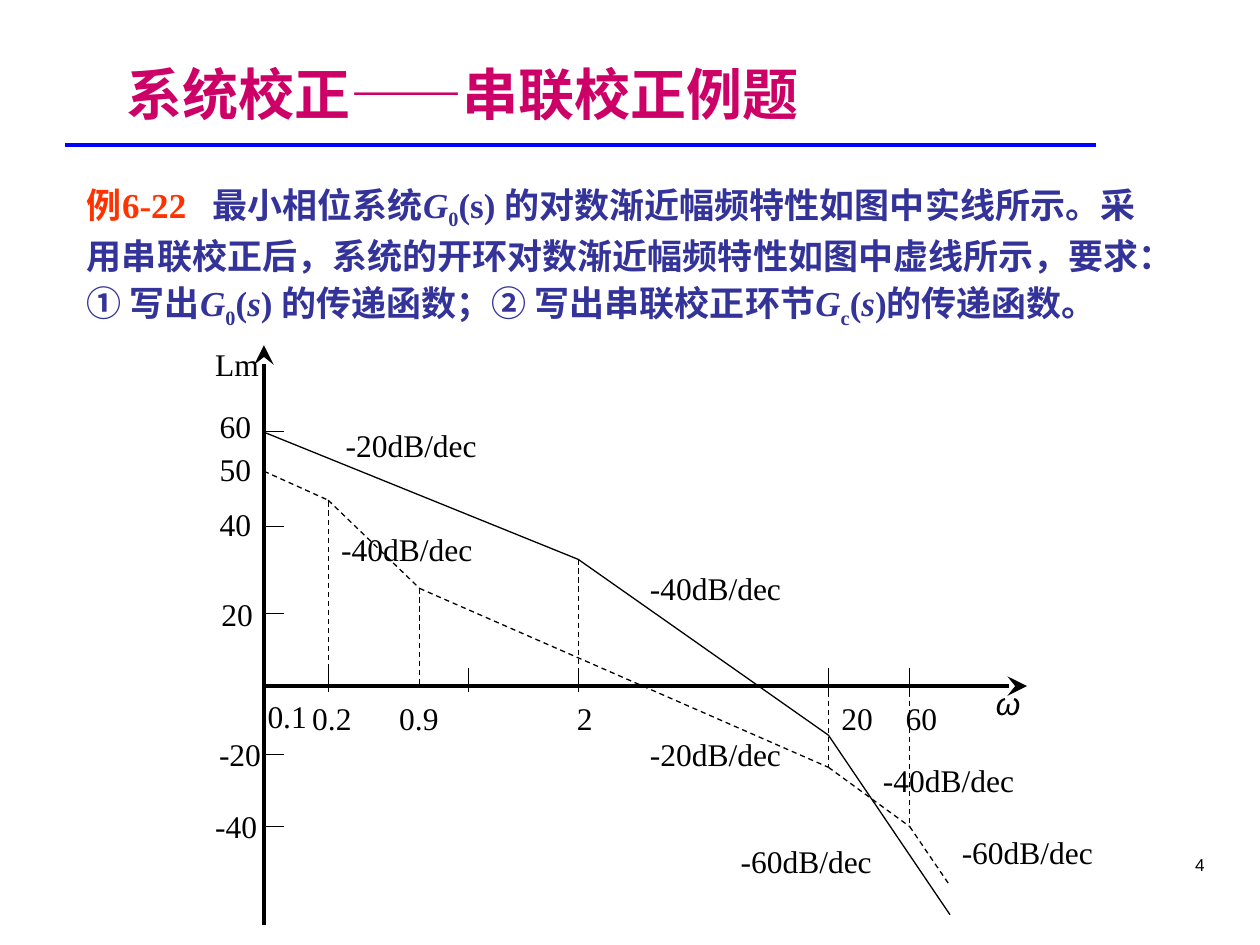
import pptx
import pptx.util
import pptx.dml.color
import pptx.enum.dml
import pptx.enum.shapes
import pptx.enum.text
import pptx.oxml
import pptx.oxml.ns

RGBColor = pptx.dml.color.RGBColor
MAGENTA = RGBColor(0xCC, 0x00, 0x66)
BLUE = RGBColor(0x00, 0x00, 0xFF)
INDIGO = RGBColor(0x33, 0x33, 0x99)
ORANGE = RGBColor(0xFF, 0x33, 0x00)
BLACK = RGBColor(0x00, 0x00, 0x00)
CJK, SERIF, SANS = "Noto Sans CJK JP", "Times New Roman", "Arial"

# Grid of 100 columns by 75 rows
COLS, ROWS = 100, 75
CELL = pptx.util.Inches(0.1)

# Axes and the columns of the corner frequencies
AXIS_X, AXIS_Y = 20.95, 54.45
W02, W09, W1, W2, W20, W60, END = 26.05, 33.3, 37.2, 45.9, 65.75, 72.2, 75.4

SOLID = [(AXIS_X, 34.3), (W2, 44.4), (W20, 58.35), (END, 72.6)]
DASHED = [(AXIS_X, 37.4), (W02, 39.7), (W09, 46.7), (W20, 60.9),
          (W60, 65.6), (END, 70.3)]
DROPS = [(W02, 39.8, 54.9), (W09, 46.7, AXIS_Y), (W2, 44.4, AXIS_Y),
         (W20, 54.9, 60.9), (W60, 54.9, 65.6)]
Y_TICKS = [34.25, 41.8, 48.7, 59.9, 65.6]

# Text, column, row
LABELS = [
    ("Lm", 16.1, 26.9), ("60", 16.45, 31.8), ("50", 16.45, 35.2),
    ("40", 16.45, 39.6), ("20", 16.6, 46.7), ("-20", 16.4, 57.85),
    ("-40", 16.1, 63.6),
    ("0.1", 20.25, 54.8), ("0.2", 23.8, 54.95), ("0.9", 30.7, 54.95),
    ("2", 44.8, 54.95), ("20", 65.8, 54.95), ("60", 70.9, 54.95),
    ("-20dB/dec", 26.45, 33.3), ("-40dB/dec", 26.1, 41.6),
    ("-40dB/dec", 50.6, 44.7), ("-20dB/dec", 50.6, 57.85),
    ("-40dB/dec", 69.1, 59.9), ("-60dB/dec", 57.8, 66.3),
    ("-60dB/dec", 75.35, 65.6),
]
WIDTHS = {1: 3.3, 2: 5.6, 3: 5.6, 9: 12.6}  # label width by text length

# Text, style: "" upright, "i" italic, "b" subscript
PROBLEM = [
    ("最小相位系统", ""), ("G", "i"), ("0", "b"),
    ("(s) 的对数渐近幅频特性如图中实线所示。采用串联校正后，"
     "系统的开环对数渐近幅频特性如图中虚线所示，要求：① 写出", ""),
    ("G", "i"), ("0", "b"), ("(", ""), ("s", "i"),
    (") 的传递函数；② 写出串联校正环节", ""),
    ("G", "i"), ("c", "b"), ("(", ""), ("s", "i"), (")的传递函数。", ""),
]


def grid(*values):
    return [int(v * CELL) for v in values]


def place(sp, col, row, width, height):
    sp.left, sp.top, sp.width, sp.height = grid(col, row, width, height)


def add_run(p, text, size, color, font=SERIF, bold=False, style="", spacing=0):
    r = p.add_run()
    r.text = text
    f = r.font
    f.size, f.name, f.bold, f.italic = pptx.util.Pt(size), font, bold, style == "i"
    f.color.rgb = color
    rpr = r._r.get_or_add_rPr()
    if style == "b":
        rpr.set("baseline", "-25000")
    if spacing:
        rpr.set("spc", str(spacing * 100))
    ea = pptx.oxml.parse_xml(
        f'<a:ea {pptx.oxml.ns.nsdecls("a")} typeface="{CJK}"/>')
    rpr.find(pptx.oxml.ns.qn("a:latin")).addnext(ea)


def add_line(shapes, start, end, width=0.75, color=BLACK, dash=False, arrow=False):
    line = shapes.add_connector(pptx.enum.shapes.MSO_CONNECTOR.STRAIGHT,
                                *grid(*start, *end))
    line.line.width = pptx.util.Pt(width)
    line.line.color.rgb = color
    if dash:
        line.line.dash_style = pptx.enum.dml.MSO_LINE.DASH
    ns = pptx.oxml.ns.nsdecls("a")
    if arrow:
        line.line._get_or_add_ln().append(pptx.oxml.parse_xml(
            f'<a:tailEnd {ns} type="stealth" w="lg" len="lg"/>'))
    line._element.spPr.append(pptx.oxml.parse_xml(f"<a:effectLst {ns}/>"))


def add_polyline(shapes, points, dash=False):
    for start, end in zip(points, points[1:]):
        add_line(shapes, start, end, dash=dash)


def add_label(shapes, text, col, row, width, font=SERIF, style=""):
    tf = shapes.add_textbox(*grid(col, row, width, 4)).text_frame
    tf.word_wrap = False
    tf.auto_size = pptx.enum.text.MSO_AUTO_SIZE.SHAPE_TO_FIT_TEXT
    add_run(tf.paragraphs[0], text, 18, BLACK, font, style=style)


def fill_title(sp):
    place(sp, 9, 1.85, 68.3, 8.7)
    tf = sp.text_frame
    tf.vertical_anchor = pptx.enum.text.MSO_ANCHOR.BOTTOM
    tf.auto_size = pptx.enum.text.MSO_AUTO_SIZE.NONE
    p = tf.paragraphs[0]
    p.alignment = pptx.enum.text.PP_ALIGN.LEFT
    add_run(p, "系统校正——串联校正例题", 32, MAGENTA, CJK, bold=True)


def fill_problem(sp):
    place(sp, 5.9, 11.8, 86.6, 16.7)
    tf = sp.text_frame
    tf.vertical_anchor = pptx.enum.text.MSO_ANCHOR.MIDDLE
    tf.auto_size = pptx.enum.text.MSO_AUTO_SIZE.SHAPE_TO_FIT_TEXT
    p = tf.paragraphs[0]
    # No bullet or indent
    ppr = p._p.get_or_add_pPr()
    ppr.set("marL", "0")
    ppr.set("indent", "0")
    ppr.append(pptx.oxml.parse_xml(
        f'<a:buNone {pptx.oxml.ns.nsdecls("a")}/>'))
    p.line_spacing = 1.1
    p.space_before = pptx.util.Pt(0)
    # Example number, then a widened space
    add_run(p, "例6-22", 20, ORANGE, bold=True)
    add_run(p, " ", 20, ORANGE, bold=True, spacing=10)
    for text, style in PROBLEM:
        add_run(p, text, 20, INDIGO, bold=True, style=style)


def add_page_number(shapes):
    tf = shapes.add_textbox(*grid(83.5, 67.6, 13.1, 2.8)).text_frame
    tf.word_wrap = True
    p = tf.paragraphs[0]
    p.alignment = pptx.enum.text.PP_ALIGN.RIGHT
    p.line_spacing = 0.8
    add_run(p, "4", 9.8, BLACK, SANS)


def add_bode_plot(shapes):
    # Axes and ticks
    add_line(shapes, (AXIS_X, AXIS_Y), (81.5, AXIS_Y), 2.25, arrow=True)
    add_line(shapes, (AXIS_X, 73.4), (AXIS_X, 27.4), 2.25, arrow=True)
    for col in (W02, W1, W2, W20, W60):
        add_line(shapes, (col, 53), (col, 54.9))
    for row in Y_TICKS:
        add_line(shapes, (AXIS_X, row), (AXIS_X + 1.55, row))
    # Asymptotes and their drop lines
    add_polyline(shapes, SOLID)
    add_polyline(shapes, DASHED, dash=True)
    for col, top, bottom in DROPS:
        add_line(shapes, (col, top), (col, bottom), dash=True)
    # Labels
    for text, col, row in LABELS:
        add_label(shapes, text, col, row, WIDTHS[len(text)])
    add_label(shapes, "ω", 78.05, 53.8, 3.7, SANS, "i")


def main():
    prs = pptx.Presentation()
    prs.slide_width, prs.slide_height = grid(COLS, ROWS)
    s = prs.slides.add_slide(prs.slide_layouts[1])
    fill_title(s.shapes.title)
    add_line(s.shapes, (5.15, 11.5), (87, 11.5), 2, BLUE)
    fill_problem(s.placeholders[1])
    add_page_number(s.shapes)
    add_bode_plot(s.shapes.add_group_shape().shapes)
    prs.save("out.pptx")


if __name__ == "__main__":
    main()
